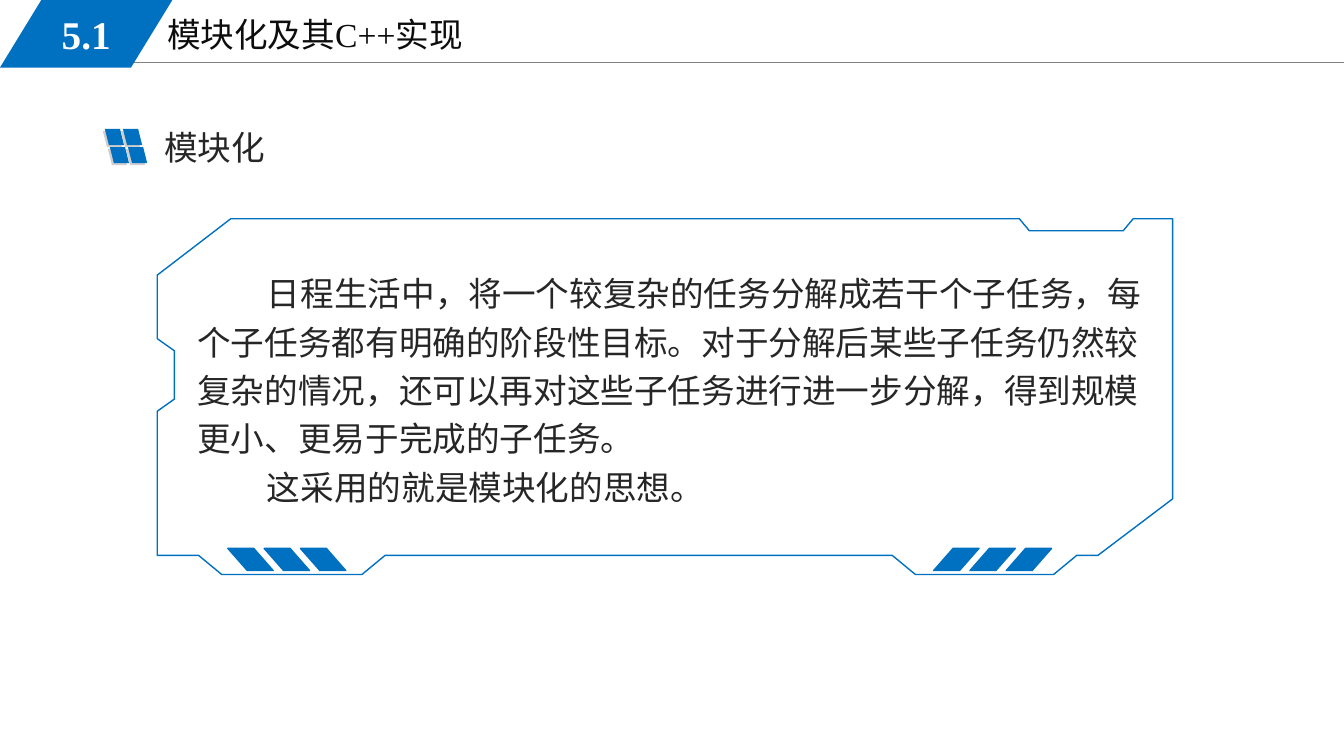
from dataclasses import dataclass

from lxml import etree
from pptx import Presentation
from pptx.dml.color import RGBColor
from pptx.enum.shapes import MSO_CONNECTOR, MSO_SHAPE
from pptx.enum.text import MSO_ANCHOR, PP_ALIGN
from pptx.oxml.ns import qn
from pptx.util import Inches, Pt

PARALLELOGRAM = MSO_SHAPE.PARALLELOGRAM
STRAIGHT = MSO_CONNECTOR.STRAIGHT
MIDDLE = MSO_ANCHOR.MIDDLE
LEFT, CENTER = PP_ALIGN.LEFT, PP_ALIGN.CENTER

BLUE, SHADE, GRAY = "0070C0", "D0CECE", "808080"
WHITE, BLACK, DARK = "FFFFFF", "0D0D0D", "262626"
SANS, SERIF = "Noto Sans CJK SC", "Times New Roman"


@dataclass(frozen=True)
class Slant:
    left: float
    top: float
    width: float
    height: float
    fill: str = BLUE
    adjust: float = 0.25
    mirrored: bool = False
    outlined: bool = False


@dataclass(frozen=True)
class Label:
    left: float
    top: float
    width: float
    height: float
    paragraphs: tuple[str, ...]
    font: str = SANS
    color: str = DARK
    indent: float = 0
    spacing: float = 1.0


def color(value: str) -> RGBColor:
    return RGBColor.from_string(value)


def add_span(para, text: str, size: float, font: str, shade: str, bold: bool = False) -> None:
    span = para.add_run()
    span.text = text
    span.font.size = Pt(size)
    span.font.bold = bold
    span.font.color.rgb = color(shade)
    span.font.name = font
    east_asian = etree.SubElement(span.font._element, qn("a:ea"))
    east_asian.set("typeface", SANS)


def add_slant(page, slant: Slant):
    shape = page.shapes.add_shape(
        PARALLELOGRAM, Inches(slant.left), Inches(slant.top),
        Inches(slant.width), Inches(slant.height))
    shape.shadow.inherit = False
    shape.adjustments[0] = slant.adjust
    shape.fill.solid()
    shape.fill.fore_color.rgb = color(slant.fill)
    if slant.outlined:
        shape.line.color.rgb = color(slant.fill)
        shape.line.width = Pt(1)
    else:
        shape.line.fill.background()
    if slant.mirrored:
        shape._element.spPr.xfrm.set("flipH", "1")
    return shape


def add_label(page, label: Label) -> None:
    box = page.shapes.add_textbox(
        Inches(label.left), Inches(label.top), Inches(label.width), Inches(label.height))
    frame = box.text_frame
    frame.word_wrap = True
    for index, text in enumerate(label.paragraphs):
        para = frame.add_paragraph() if index else frame.paragraphs[0]
        para.alignment = LEFT
        para.line_spacing = label.spacing
        if label.indent:
            properties = para._p.get_or_add_pPr()
            properties.set("marL", "0")
            properties.set("indent", str(Inches(label.indent)))
        add_span(para, text, 24, label.font, label.color)


def add_header(page) -> None:
    rule = page.shapes.add_connector(
        STRAIGHT, Inches(1.13), Inches(0.62), Inches(13.33), Inches(0.62))
    rule.line.color.rgb = color(GRAY)
    rule.line.width = Pt(0.75)
    etree.SubElement(rule._element.spPr, qn("a:effectLst"))

    add_label(page, Label(1.56, 0.09, 5.67, 0.51, ("模块化及其C++实现",), SERIF, BLACK))

    badge = add_slant(page, Slant(0, 0, 1.71, 0.67, adjust=0.612))
    frame = badge.text_frame
    frame.vertical_anchor = MIDDLE
    frame.paragraphs[0].alignment = CENTER
    add_span(frame.paragraphs[0], "5.1", 28, SERIF, WHITE, bold=True)


def add_window_icon(page) -> None:
    # The gray set sits behind the blue one, slightly lower and to the left
    for left, top, fill in ((1.02, 1.3, SHADE), (1.04, 1.28, BLUE)):
        for column in range(2):
            for row in range(2):
                add_slant(page, Slant(left + 0.18 * column + 0.05 * row, top + 0.18 * row,
                                      0.19, 0.16, fill, mirrored=True))


def add_frame(page) -> None:
    corners = [
        (9.08, 5.7), (10.45, 5.7), (10.68, 5.51), (10.89, 5.51), (11.63, 4.95),
        (11.63, 2.17), (11.24, 2.17), (11.14, 2.29), (10.21, 2.29), (10.11, 2.17),
        (2.29, 2.17), (1.56, 2.73), (1.56, 3.36), (1.73, 3.48), (1.73, 3.96),
        (1.56, 4.08), (1.56, 5.51), (1.97, 5.51), (2.2, 5.7), (3.59, 5.7),
        (3.82, 5.51), (8.85, 5.51),
    ]
    points = [(Inches(x), Inches(y)) for x, y in corners]
    builder = page.shapes.build_freeform(*points[0], scale=1.0)
    builder.add_line_segments(points[1:], close=True)
    outline = builder.convert_to_shape()
    outline.shadow.inherit = False
    outline.fill.background()
    outline.line.color.rgb = color(BLUE)
    outline.line.width = Pt(1)

    # Three stripes in each lower corner, leaning towards the middle
    for left, mirrored in ((9.26, False), (2.26, True)):
        for index in range(3):
            add_slant(page, Slant(left + 0.36 * index, 5.44, 0.45, 0.22, adjust=0.878,
                                  mirrored=mirrored, outlined=True))


def main() -> None:
    deck = Presentation()
    deck.slide_width, deck.slide_height = Inches(13.33), Inches(7.5)
    page = deck.slides.add_slide(deck.slide_layouts[6])

    # Title bar
    add_header(page)

    # Body text
    add_label(page, Label(1.86, 2.58, 9.67, 2.48, (
        "日程生活中，将一个较复杂的任务分解成若干个子任务，每个子任务都有明确的阶段性目标。"
        "对于分解后某些子任务仍然较复杂的情况，还可以再对这些子任务进行进一步分解，"
        "得到规模更小、更易于完成的子任务。",
        "这采用的就是模块化的思想。",
    ), indent=0.69, spacing=1.2))

    # Section heading
    add_window_icon(page)
    add_label(page, Label(1.53, 1.21, 1.65, 0.5, ("模块化",)))

    # Decorated frame
    add_frame(page)

    deck.save("out.pptx")


if __name__ == "__main__":
    main()
